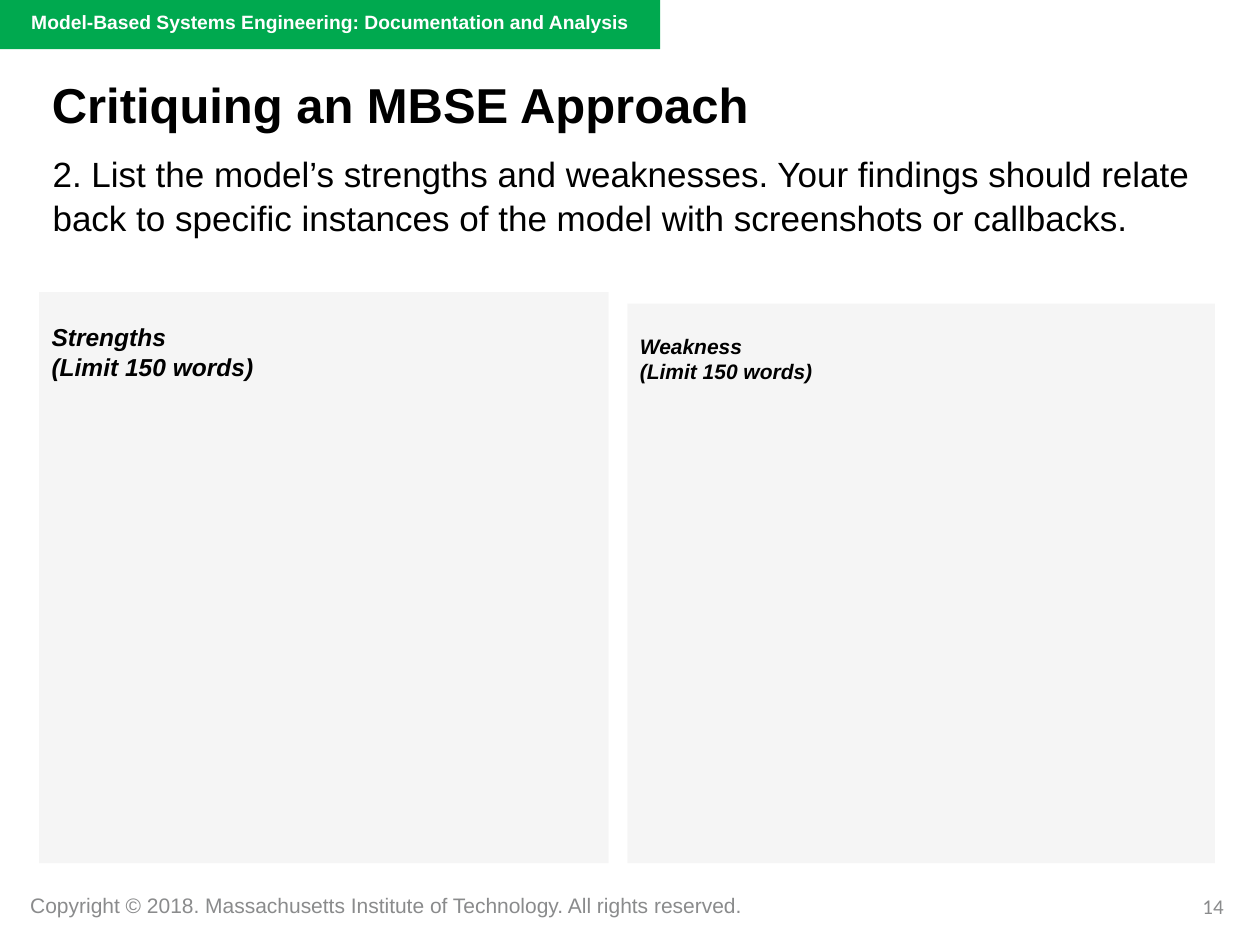
from dataclasses import dataclass

import pptx
import pptx.dml.color
import pptx.enum.shapes
import pptx.enum.text
import pptx.oxml
import pptx.oxml.ns
import pptx.util

Cm = pptx.util.Cm
Pt = pptx.util.Pt
ALIGN = pptx.enum.text.PP_ALIGN
ANCHOR = pptx.enum.text.MSO_ANCHOR


@dataclass(frozen=True)
class Theme:
    font: str = "Arial"
    number_font: str = "Calibri"
    ink: str = "000000"
    paper: str = "FFFFFF"
    band: str = "00A94F"
    muted: str = "8A8B8C"
    panel: str = "A6A6A6"
    panel_alpha: int = 10
    title: int = 28
    body: int = 20
    strengths: int = 14
    weakness: int = 12
    footer: int = 12
    header: int = 11


class SlideBuilder:
    """Holds the theme and the current slide, and adds each kind of element."""

    def __init__(self, prs, theme):
        self.theme = theme
        self.s = prs.slides.add_slide(prs.slide_layouts[5])

    def set_text(self, sp, lines, size, color=None, font=None, bold=None, italic=None,
                 align=ALIGN.LEFT, anchor=ANCHOR.TOP, spacing=1.0, wrap=True):
        tf = sp.text_frame
        tf.word_wrap = wrap
        tf.auto_size = pptx.enum.text.MSO_AUTO_SIZE.NONE
        tf.vertical_anchor = anchor
        for i, line in enumerate(lines):
            p = tf.paragraphs[0] if i == 0 else tf.add_paragraph()
            p.alignment = align
            p.line_spacing = spacing
            r = p.add_run()
            r.text = line
            r.font.name = font or self.theme.font
            r.font.size = Pt(size)
            r.font.bold = bold
            r.font.italic = italic
            r.font.color.rgb = pptx.dml.color.RGBColor.from_string(color or self.theme.ink)

    def fill(self, sp, color):
        sp.fill.solid()
        sp.fill.fore_color.rgb = pptx.dml.color.RGBColor.from_string(color)

    def title(self, box, text):
        sp = self.s.shapes.title
        sp.left, sp.top, sp.width, sp.height = map(Cm, box)
        self.fill(sp, self.theme.paper)
        self.set_text(sp, [text], self.theme.title, bold=True, anchor=ANCHOR.BOTTOM)

    def text(self, box, text, size, **style):
        sp = self.s.shapes.add_textbox(*map(Cm, box))
        self.set_text(sp, [text], size, **style)

    def rect(self, box, color):
        kind = pptx.enum.shapes.MSO_SHAPE.RECTANGLE
        sp = self.s.shapes.add_shape(kind, *map(Cm, box))
        sp.shadow.inherit = False
        sp.line.fill.background()
        self.fill(sp, color)
        return sp

    def panel(self, box, lines, size):
        sp = self.rect(box, self.theme.panel)
        clr = sp.element.spPr.find(".//" + pptx.oxml.ns.qn("a:srgbClr"))
        alpha = pptx.oxml.parse_xml(
            f'<a:alpha {pptx.oxml.ns.nsdecls("a")} val="{self.theme.panel_alpha * 1000}"/>')
        clr.append(alpha)
        sp.text_frame.margin_top = Cm(0.61)
        self.set_text(sp, lines, size, bold=True, italic=True)


def main():
    prs = pptx.Presentation()
    prs.slide_width, prs.slide_height = Cm(25.4), Cm(19.05)
    theme = Theme()
    b = SlideBuilder(prs, theme)

    b.text((0.36, 17.86, 15.14, 0.76),
           "Copyright © 2018. Massachusetts Institute of Technology. All rights reserved.",
           theme.footer, color=theme.muted, wrap=False)
    b.rect((-0.03, 0, 13.34, 0.99), theme.band)
    b.text((0.38, 0.08, 13.31, 1.47),
           "Model-Based Systems Engineering: Documentation and Analysis",
           theme.header, color=theme.paper, bold=True)
    b.text((19, 17.88, 5.92, 1.02), "14", theme.footer, color=theme.muted,
           font=theme.number_font, align=ALIGN.RIGHT)

    b.title((0.79, 1.35, 20.5, 1.47), "Critiquing an MBSE Approach")
    b.text((0.81, 2.92, 23.7, 2.9),
           "2. List the model’s strengths and weaknesses. Your findings should relate "
           "back to specific instances of the model with screenshots or callbacks.",
           theme.body, spacing=1.04)

    bottom = 17.4
    limit = "(Limit 150 words)"
    for left, top, width, heading, size in (
        (0.79, 5.89, 11.48, "Strengths", theme.strengths),
        (12.65, 6.12, 11.84, "Weakness", theme.weakness),
    ):
        b.panel((left, top, width, bottom - top), [heading, limit], size)

    prs.save("out.pptx")


if __name__ == "__main__":
    main()
